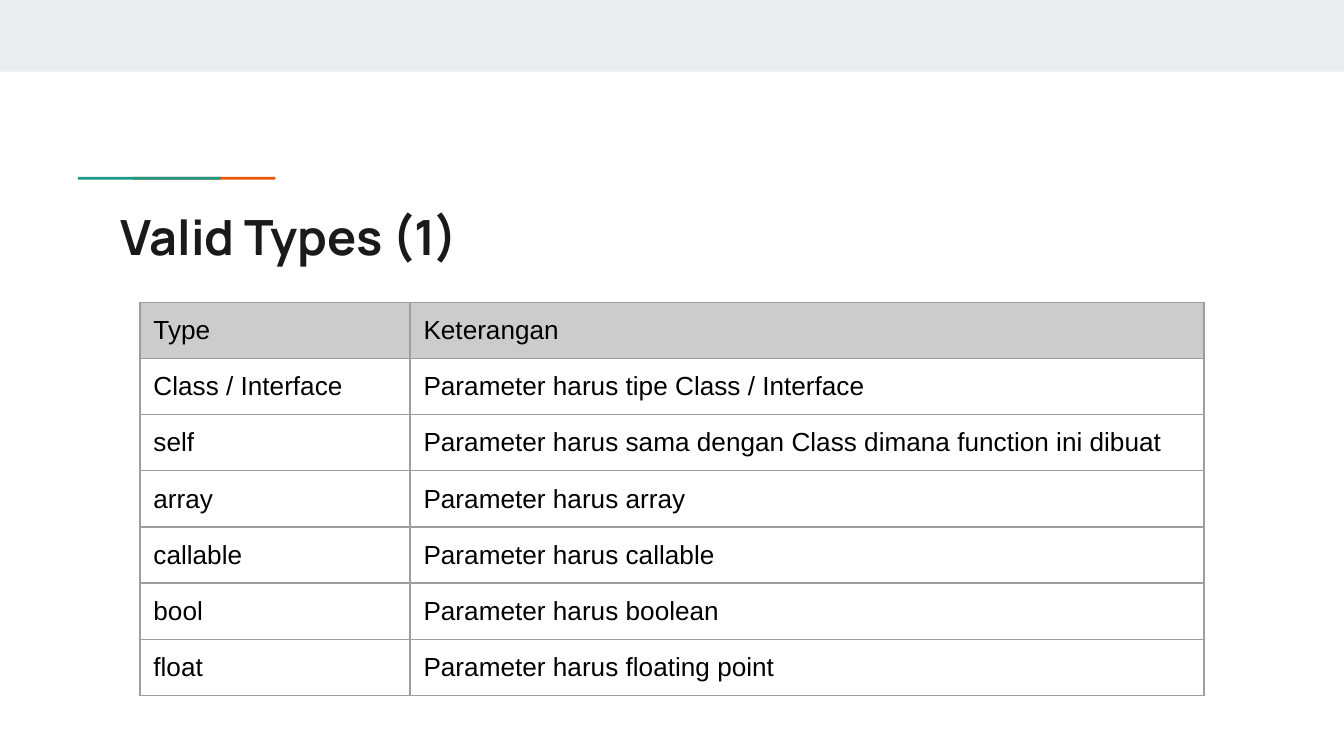
from dataclasses import dataclass

from lxml.etree import SubElement
from pptx import Presentation
from pptx.dml.color import RGBColor
from pptx.enum.shapes import MSO_SHAPE as Shape
from pptx.enum.text import MSO_ANCHOR as Anchor
from pptx.oxml.ns import qn
from pptx.util import Pt

COLORS = {
    "band": "E9EDEE",
    "teal": "1A9988",
    "orange": "EB5600",
    "title": "1A1A1A",
    "text": "000000",
    "header": "CCCCCC",
    "border": "9E9E9E",
}
INSET = 7.2
CELL_BOTTOM_INSET = 6
COLUMN_WIDTHS = (144.7, 425.3)
ROW_HEIGHT = 30.08


@dataclass(frozen=True)
class Bar:
    left: float
    top: float
    width: float
    height: float
    color: str


@dataclass(frozen=True)
class TypeRow:
    name: str
    description: str


# The teal bar overlaps the orange one
BARS = (
    Bar(0, 0, 720, 38.4, "band"),
    Bar(71.2, 94.8, 76.4, 1.5, "orange"),
    Bar(41.8, 94.8, 76.4, 1.5, "teal"),
)
TYPE_ROWS = (
    TypeRow("Type", "Keterangan"),
    TypeRow("Class / Interface", "Parameter harus tipe Class / Interface"),
    TypeRow("self", "Parameter harus sama dengan Class dimana function ini dibuat"),
    TypeRow("array", "Parameter harus array"),
    TypeRow("callable", "Parameter harus callable"),
    TypeRow("bool", "Parameter harus boolean"),
    TypeRow("float", "Parameter harus floating point"),
)


def rgb(color: str) -> RGBColor:
    return RGBColor.from_string(COLORS[color])


def set_insets(holder, bottom: float = INSET) -> None:
    holder.margin_left = holder.margin_right = holder.margin_top = Pt(INSET)
    holder.margin_bottom = Pt(bottom)


def style_font(font, name: str, size: float, color: str, bold: bool = False) -> None:
    font.name, font.size, font.bold = name, Pt(size), bold
    font.color.rgb = rgb(color)


def draw_bar(slide, bar: Bar) -> None:
    strip = slide.shapes.add_shape(
        Shape.RECTANGLE, Pt(bar.left), Pt(bar.top), Pt(bar.width), Pt(bar.height)
    )
    strip.shadow.inherit = False
    strip.fill.solid()
    strip.fill.fore_color.rgb = rgb(bar.color)
    strip.line.fill.background()


def draw_title(slide, wording: str) -> None:
    heading = slide.shapes.add_textbox(Pt(57.6), Pt(103.7), Pt(605.5), Pt(42.5)).text_frame
    heading.word_wrap = True
    heading.vertical_anchor = Anchor.TOP
    set_insets(heading)
    heading.text = wording
    style_font(heading.paragraphs[0].font, "Manrope", 26, "title", bold=True)


def add_borders(cell) -> None:
    properties = cell._tc.get_or_add_tcPr()
    # Borders must come before the cell fill
    for index, side in enumerate(("a:lnL", "a:lnR", "a:lnT", "a:lnB")):
        border = SubElement(properties, qn(side), w=str(Pt(0.75)))
        line_fill = SubElement(border, qn("a:solidFill"))
        SubElement(line_fill, qn("a:srgbClr"), val=COLORS["border"])
        properties.insert(index, border)


def draw_types(slide, rows: tuple[TypeRow, ...]) -> None:
    types = slide.shapes.add_table(
        len(rows), len(COLUMN_WIDTHS), Pt(75), Pt(162),
        Pt(sum(COLUMN_WIDTHS)), Pt(ROW_HEIGHT * len(rows)),
    ).table
    types.horz_banding = False
    for column, width in zip(types.columns, COLUMN_WIDTHS):
        column.width = Pt(width)
    for index, row in enumerate(rows):
        types.rows[index].height = Pt(ROW_HEIGHT)
        for cell, wording in zip(types.rows[index].cells, (row.name, row.description)):
            cell.text = wording
            set_insets(cell, CELL_BOTTOM_INSET)
            style_font(cell.text_frame.paragraphs[0].font, "Arial", 14, "text")
            if index == 0:
                cell.fill.solid()
                cell.fill.fore_color.rgb = rgb("header")
            else:
                cell.fill.background()
            add_borders(cell)


def main() -> None:
    deck = Presentation()
    deck.slide_width, deck.slide_height = Pt(720), Pt(405)
    slide = deck.slides.add_slide(deck.slide_layouts[6])

    # Top band and accent line
    for bar in BARS:
        draw_bar(slide, bar)

    # Title and table of types
    draw_title(slide, "Valid Types (1)")
    draw_types(slide, TYPE_ROWS)

    deck.save("out.pptx")


if __name__ == "__main__":
    main()
